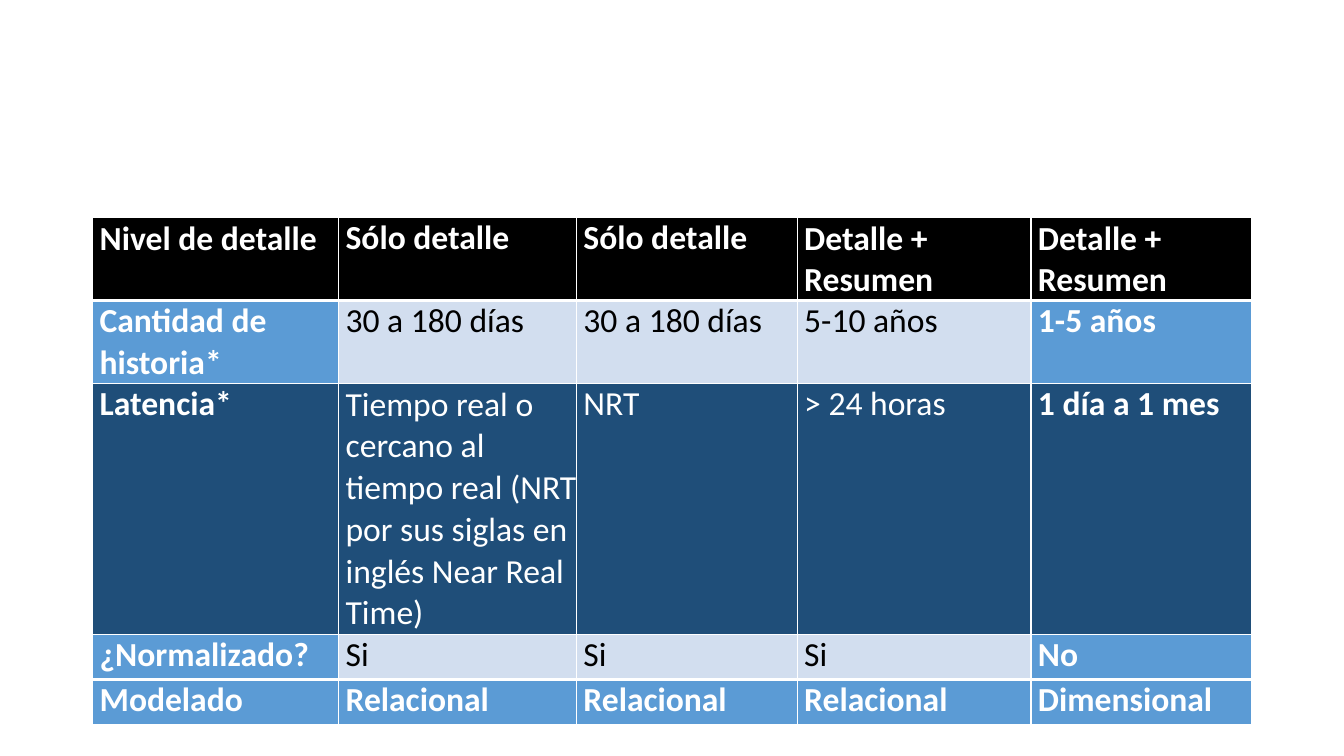
import dataclasses

import pptx
import pptx.dml.color
import pptx.enum.text
import pptx.oxml
import pptx.oxml.ns
import pptx.util

Pt = pptx.util.Pt


@dataclasses.dataclass(frozen=True)
class Theme:
    font: str = "Calibri"
    size: int = 24
    black: str = "000000"
    white: str = "FFFFFF"
    blue: str = "5B9BD5"
    pale: str = "D2DEEF"
    navy: str = "1F4E79"
    thin: int = 1
    thick: int = 3


THEME = Theme()
WIDTHS = [175.7, 169.9, 157.7, 167, 157.7]
HEIGHTS = [54.7, 54.7, 166.3, 32.4, 32.4]
ROWS = [
    ["Nivel de detalle", "Sólo detalle", "Sólo detalle",
     "Detalle + Resumen", "Detalle + Resumen"],
    ["Cantidad de historia*", "30 a 180 días", "30 a 180 días",
     "5-10 años", "1-5 años"],
    ["Latencia*",
     "Tiempo real o cercano al tiempo real "
     "(NRT por sus siglas en inglés Near Real Time)",
     "NRT", "> 24 horas", "1 día a 1 mes"],
    ["¿Normalizado?", "Si", "Si", "Si", "No"],
    ["Modelado", "Relacional", "Relacional", "Relacional", "Dimensional"],
]
EDGES = [THEME.black, THEME.blue, THEME.navy, THEME.blue, THEME.blue]
INNER = [THEME.black, THEME.pale, THEME.navy, THEME.pale, THEME.blue]
LEADING = {(0, 0): 1.01, (0, 3): 1.01, (0, 4): 1.01,
           (1, 0): 1.01, (2, 1): 1.02}
RULED = (0, 3)


def apply(item, values):
    for name, value in values.items():
        setattr(item, name, value)


def color(code):
    return pptx.dml.color.RGBColor.from_string(code)


def border(cell, side, width):
    line = pptx.oxml.parse_xml(
        f'<a:{side} {pptx.oxml.ns.nsdecls("a")} w="{Pt(width)}">'
        f'<a:solidFill><a:srgbClr val="{THEME.white}"/></a:solidFill>'
        f'</a:{side}>')
    cell._tc.get_or_add_tcPr().append(line)


def frame(cell, row):
    top = THEME.thick if row - 1 in RULED else THEME.thin
    base = THEME.thick if row in RULED else THEME.thin
    sides = {"lnL": THEME.thin, "lnR": THEME.thin, "lnT": top, "lnB": base}
    for side, width in sides.items():
        border(cell, side, width)


def paint(cell, row, col):
    edge = col in (0, len(WIDTHS) - 1)
    fill = EDGES[row] if edge else INNER[row]
    cell.fill.solid()
    cell.fill.fore_color.rgb = color(fill)
    apply(cell, {"margin_left": Pt(5), "margin_right": 0,
                 "margin_top": 0, "margin_bottom": 0,
                 "vertical_anchor": pptx.enum.text.MSO_ANCHOR.TOP})
    return fill


def write(cell, row, col, fill):
    para = cell.text_frame.paragraphs[0]
    apply(para, {"space_before": Pt(0.5 if row == 1 else 0.3),
                 "line_spacing": LEADING.get((row, col), 1.0)})
    run = para.add_run()
    run.text = ROWS[row][col]
    edge = col in (0, len(WIDTHS) - 1)
    bold = edge or row in (0, len(ROWS) - 1)
    apply(run.font, {"name": THEME.font, "size": Pt(THEME.size),
                     "bold": bold})
    ink = THEME.black if fill == THEME.pale else THEME.white
    run.font.color.rgb = color(ink)


def grid(slide):
    shape = slide.shapes.add_table(
        len(ROWS), len(WIDTHS), Pt(66.2), Pt(155.5),
        Pt(sum(WIDTHS)), Pt(sum(HEIGHTS)))
    table = shape.table
    apply(table, {"first_row": False, "horz_banding": False})
    for column, width in zip(table.columns, WIDTHS):
        column.width = Pt(width)
    for line, height in zip(table.rows, HEIGHTS):
        line.height = Pt(height)
    for row in range(len(ROWS)):
        for col in range(len(WIDTHS)):
            cell = table.cell(row, col)
            frame(cell, row)
            fill = paint(cell, row, col)
            write(cell, row, col, fill)


def main():
    deck = pptx.Presentation()
    apply(deck, {"slide_width": Pt(960), "slide_height": Pt(540)})
    slide = deck.slides.add_slide(deck.slide_layouts[6])
    grid(slide)
    deck.save("out.pptx")


if __name__ == "__main__":
    main()
